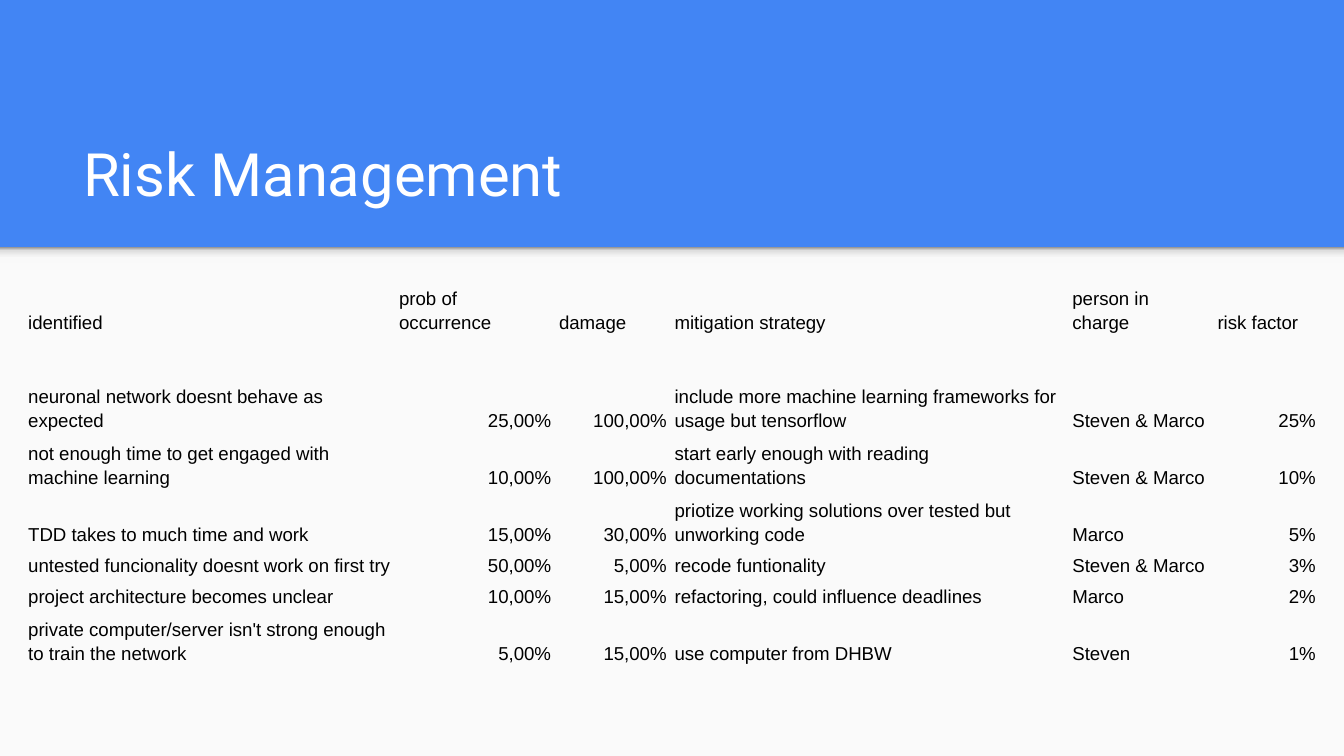
from lxml import etree
from pptx import Presentation
from pptx.dml.color import RGBColor
from pptx.enum.shapes import MSO_SHAPE
from pptx.enum.text import MSO_ANCHOR, PP_ALIGN
from pptx.oxml.ns import qn
from pptx.util import Inches, Pt

BLUE = RGBColor(0x42, 0x85, 0xF4)
PAPER = RGBColor(0xFA, 0xFA, 0xFA)
WHITE = RGBColor(0xFF, 0xFF, 0xFF)
BLACK = RGBColor(0x00, 0x00, 0x00)
SHADE_STOPS = [
    (0, RGBColor(0xF9, 0xF9, 0xF9)),
    (36, RGBColor(0xF9, 0xF9, 0xF9)),
    (80, RGBColor(0xDE, 0xDE, 0xDE)),
    (100, RGBColor(0x99, 0x99, 0x99)),
]
PLAIN_TABLE_STYLE = "{2D5ABB26-0587-4C30-8999-92F81FD0307C}"

COLUMN_WIDTHS = [2.76, 1.19, 0.86, 2.96, 1.08, 0.79]
ROW_HEIGHTS = [0.36, 0.22, 0.36, 0.36, 0.36, 0.2, 0.2, 0.36]
RISKS = [
    ("identified", "prob of occurrence", "damage", "mitigation strategy",
     "person in charge", "risk factor"),
    ("",) * 6,
    ("neuronal network doesnt behave as expected", "25,00%", "100,00%",
     "include more machine learning frameworks for usage but tensorflow",
     "Steven & Marco", "25%"),
    ("not enough time to get engaged with machine learning", "10,00%", "100,00%",
     "start early enough with reading documentations", "Steven & Marco", "10%"),
    ("TDD takes to much time and work", "15,00%", "30,00%",
     "priotize working solutions over tested but unworking code", "Marco", "5%"),
    ("untested funcionality doesnt work on first try", "50,00%", "5,00%",
     "recode funtionality", "Steven & Marco", "3%"),
    ("project architecture becomes unclear", "10,00%", "15,00%",
     "refactoring, could influence deadlines", "Marco", "2%"),
    ("private computer/server isn't strong enough to train the network", "5,00%",
     "15,00%", "use computer from DHBW", "Steven", "1%"),
]


def write(frame, text, font, size, color, align=PP_ALIGN.LEFT, spacing=1.0):
    para = frame.paragraphs[0]
    para.alignment = align
    para.line_spacing = spacing
    span = para.add_run()
    span.text = text
    span.font.name = font
    span.font.size = Pt(size)
    span.font.color.rgb = color


def add_panel(top, height):
    """Add a full-width rectangle without outline or shadow."""
    panel = page.shapes.add_shape(
        MSO_SHAPE.RECTANGLE, 0, Inches(top), deck.slide_width, Inches(height))
    panel.shadow.inherit = False
    panel.line.fill.background()
    panel.fill.solid()
    panel.fill.fore_color.rgb = PAPER
    return panel


deck = Presentation()
deck.slide_width = Inches(10)
deck.slide_height = Inches(10 * 9 / 16)
page = deck.slides.add_slide(deck.slide_layouts[6])
page.background.fill.solid()
page.background.fill.fore_color.rgb = BLUE

# Content area and the shade below the blue header
content = add_panel(1.84, 3.78)
content.height = deck.slide_height - content.top
shade = add_panel(1.84, 0.12)
shade.fill.gradient()
shade.fill.gradient_angle = 90
stop_list = shade._element.spPr.find(qn("a:gradFill")).find(qn("a:gsLst"))
for old_stop in list(stop_list):
    stop_list.remove(old_stop)
for position, color in SHADE_STOPS:
    stop = etree.SubElement(stop_list, qn("a:gs"), pos=str(position * 1000))
    etree.SubElement(stop, qn("a:srgbClr"), val=str(color))

# Title
title = page.shapes.add_textbox(Inches(0.52), Inches(0.81), Inches(8.99), Inches(0.84))
frame = title.text_frame
frame.word_wrap = True
frame.vertical_anchor = MSO_ANCHOR.BOTTOM
frame.margin_left = frame.margin_right = Inches(0.1)
frame.margin_top = frame.margin_bottom = Inches(0.1)
write(frame, "Risk Management", font="Roboto", size=32, color=WHITE)

# Risk table
holder = page.shapes.add_table(
    len(RISKS), len(COLUMN_WIDTHS), Inches(0.18), Inches(2.08),
    Inches(sum(COLUMN_WIDTHS)), Inches(sum(ROW_HEIGHTS)))
table = holder.table
table.first_row = table.horz_banding = False
table._tbl.tblPr.find(qn("a:tableStyleId")).text = PLAIN_TABLE_STYLE
for column, width in zip(table.columns, COLUMN_WIDTHS):
    column.width = Inches(width)
for row, height, texts in zip(table.rows, ROW_HEIGHTS, RISKS):
    row.height = Inches(height)
    for cell, text in zip(row.cells, texts):
        cell.fill.background()
        cell.vertical_anchor = MSO_ANCHOR.BOTTOM
        cell.margin_left = cell.margin_right = Inches(0.03)
        cell.margin_top = cell.margin_bottom = Inches(0.02)
        if text:
            align = PP_ALIGN.RIGHT if text.endswith("%") else PP_ALIGN.LEFT
            write(cell.text_frame, text, font="Arial", size=10, color=BLACK,
                  align=align, spacing=1.15)
        else:
            para = cell.text_frame.paragraphs[0]
            etree.SubElement(para._p, qn("a:endParaRPr"), sz="1600")

deck.save("out.pptx")
